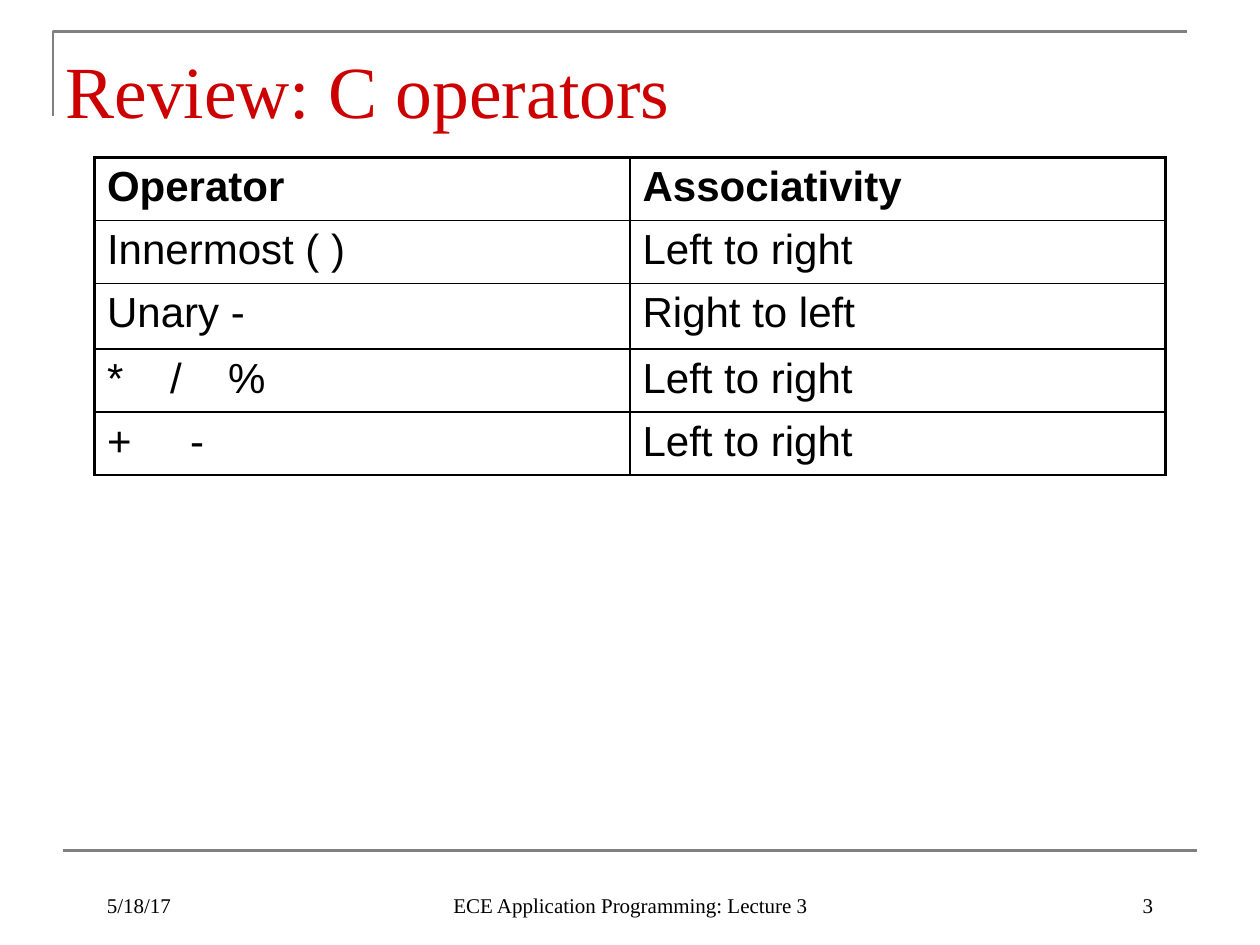
from lxml import etree
from pptx import Presentation
from pptx.dml.color import RGBColor
from pptx.enum.text import MSO_ANCHOR, PP_ALIGN
from pptx.enum.shapes import MSO_CONNECTOR
from pptx.oxml.ns import qn
from pptx.util import Emu, Inches, Pt

TITLE_ONLY = 5
STRAIGHT = MSO_CONNECTOR.STRAIGHT
MIDDLE, BOTTOM = MSO_ANCHOR.MIDDLE, MSO_ANCHOR.BOTTOM
LEFT, CENTER, RIGHT = PP_ALIGN.LEFT, PP_ALIGN.CENTER, PP_ALIGN.RIGHT
COLORS = {"title": "CC0000", "text": "000000", "rule": "808080"}
SERIF, SANS = "Times New Roman", "Arial"
THIN, THICK = 1, 2.25

OPERATORS = [
    ("Operator", "Associativity"),
    ("Innermost ( )", "Left to right"),
    ("Unary -", "Right to left"),
    ("*\t/\t%", "Left to right"),
    ("+\t-", "Left to right"),
]
ROW_HEIGHTS = [0.5, 0.5, 0.52, 0.5, 0.5]
TAB_STOPS = {3: [0.5, 0.96], 4: [0.66]}  # inches, by table row

FOOTERS = [  # left, width, alignment, text
    (0.75, 2.08, LEFT, "5/18/17"),
    (3.42, 3.17, CENTER, "ECE Application Programming: Lecture 3"),
    (7.17, 2.08, RIGHT, "3"),
]


def format_text(paragraph, size, font, color, bold=False, align=LEFT):
    paragraph.alignment = align
    for run in paragraph.runs:
        run.font.size = Pt(size)
        run.font.name = font
        run.font.bold = bold
        run.font.color.rgb = RGBColor.from_string(COLORS[color])


def format_rule(rule):
    rule.line.color.rgb = RGBColor.from_string(COLORS["rule"])
    rule.line.width = Pt(1.5)


def add_title(slide, text):
    title = slide.shapes.title
    title.left, title.top = Inches(0.42), Inches(0.25)
    title.width, title.height = Inches(8.5), Inches(0.92)
    title.text_frame.text = text
    title.text_frame.vertical_anchor = MIDDLE
    format_text(title.text_frame.paragraphs[0], 42, SERIF, "title")


def add_rules(slide):
    # Corner around the title
    builder = slide.shapes.build_freeform(Inches(0.42), Inches(0.92))
    builder.add_line_segments(
        [(Inches(0.42), Inches(0.25)), (Inches(9.42), Inches(0.25))], close=False)
    corner = builder.convert_to_shape()
    corner.shadow.inherit = False
    corner.fill.background()
    format_rule(corner)

    # Line above the footer
    footer_rule = slide.shapes.add_connector(
        STRAIGHT, Inches(0.5), Inches(6.75), Inches(9.5), Inches(6.75))
    etree.SubElement(footer_rule._element.spPr, qn("a:effectLst"))
    format_rule(footer_rule)


def set_borders(cell, widths):
    properties = cell._tc.get_or_add_tcPr()
    for side, width in widths.items():
        border = etree.SubElement(properties, qn(f"a:ln{side}"), w=str(Pt(width)))
        fill = etree.SubElement(border, qn("a:solidFill"))
        etree.SubElement(fill, qn("a:srgbClr"), val=COLORS["text"])


def set_tabs(paragraph, stops):
    tabs = etree.SubElement(paragraph._p.get_or_add_pPr(), qn("a:tabLst"))
    for stop in stops:
        etree.SubElement(tabs, qn("a:tab"), pos=str(Inches(stop)), algn="l")


def add_operator_table(slide):
    last_column = len(OPERATORS[0]) - 1
    table = slide.shapes.add_table(
        len(OPERATORS), last_column + 1, Inches(0.75), Inches(1.25),
        Inches(8.5), Inches(sum(ROW_HEIGHTS))).table
    table.first_row = table.horz_banding = False
    for row, (height, texts) in enumerate(zip(ROW_HEIGHTS, OPERATORS)):
        table.rows[row].height = Inches(height)
        for column, text in enumerate(texts):
            cell = table.cell(row, column)
            set_borders(cell, {
                "L": THICK if column == 0 else THIN,
                "R": THICK if column == last_column else THIN,
                "T": THICK if row == 0 else THIN,
                "B": THIN,
            })
            cell.fill.background()
            cell.text_frame.text = text
            paragraph = cell.text_frame.paragraphs[0]
            if "\t" in text:
                set_tabs(paragraph, TAB_STOPS[row])
            format_text(paragraph, 24, SANS, "text", bold=row == 0)


def add_footer(slide, left, width, align, text):
    frame = slide.shapes.add_textbox(
        Inches(left), Inches(6.83), Inches(width), Inches(0.5)).text_frame
    frame.word_wrap = True
    frame.vertical_anchor = BOTTOM
    frame.text = text
    format_text(frame.paragraphs[0], 12, SERIF, "text", align=align)


def main():
    presentation = Presentation()
    presentation.slide_width, presentation.slide_height = Inches(10), Inches(7.5)
    slide = presentation.slides.add_slide(presentation.slide_layouts[TITLE_ONLY])
    add_rules(slide)
    add_title(slide, "Review: C operators")
    add_operator_table(slide)
    for footer in FOOTERS:
        add_footer(slide, *footer)
    presentation.save("out.pptx")


if __name__ == "__main__":
    main()
